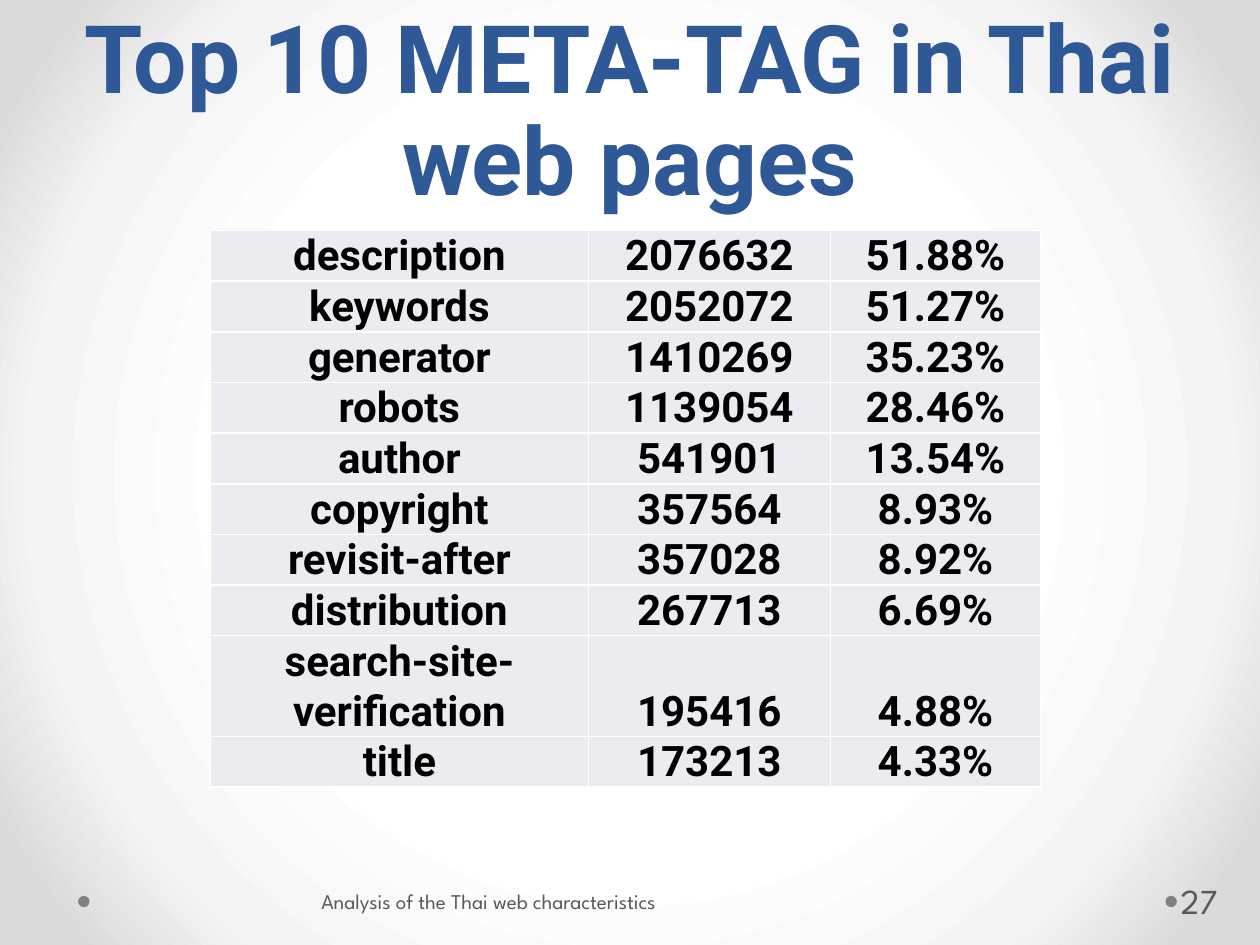
from pptx import Presentation
from pptx.dml.color import RGBColor
from pptx.enum.shapes import MSO_SHAPE
from pptx.enum.text import MSO_ANCHOR, PP_ALIGN
from pptx.oxml import parse_xml
from pptx.oxml.ns import nsdecls
from pptx.util import Inches, Pt

CENTER, LEFT = PP_ALIGN.CENTER, PP_ALIGN.LEFT
BOTTOM, MIDDLE = MSO_ANCHOR.BOTTOM, MSO_ANCHOR.MIDDLE
OVAL = MSO_SHAPE.OVAL

TITLE = "Top 10 META-TAG in Thai web pages"
TAGS = [
    ("description", "2076632", "51.88%"),
    ("keywords", "2052072", "51.27%"),
    ("generator", "1410269", "35.23%"),
    ("robots", "1139054", "28.46%"),
    ("author", "541901", "13.54%"),
    ("copyright", "357564", "8.93%"),
    ("revisit-after", "357028", "8.92%"),
    ("distribution", "267713", "6.69%"),
    ("search-site-verification", "195416", "4.88%"),
    ("title", "173213", "4.33%"),
]
# text, left, width, size, left inset, right inset
NOTES = [
    ("Analysis of the Thai web characteristics", 2.5, 5.17, 12, 0.05, 0.1),
    ("27", 9.34, 0.61, 20, 0.03, 0.05),
]
DOTS = [0.62, 9.25]
GLOW = [(50, "FFFFFF"), (76, "F4F4F4"), (92, "DADADA")]

WIDTHS = [3, 1.92, 1.67]
LINE = 0.4     # height of one line of table text
WRAP = 20      # longest tag that fits on one line
HEAD, BODY = "Roboto", "League Spartan"


def color(code):
    return RGBColor.from_string(code)


def write(frame, text, size, font, code, bold=False, align=LEFT):
    par = frame.paragraphs[0]
    par.alignment = align
    run = par.add_run()
    run.text = text
    run.font.size = Pt(size)
    run.font.name = font
    run.font.bold = bold
    run.font.color.rgb = color(code)
    return par


def glow(slide):
    """Fill the background with a gradient from the centre outwards."""
    stops = "".join(
        f'<a:gs pos="{pos * 1000}"><a:srgbClr val="{code}"/></a:gs>'
        for pos, code in GLOW)
    fill = parse_xml(
        f'<a:gradFill {nsdecls("a")} rotWithShape="1"><a:gsLst>{stops}</a:gsLst>'
        '<a:path path="circle"><a:fillToRect l="50000" t="50000" r="50000" '
        'b="50000"/></a:path></a:gradFill>')
    slide.background.fill.solid()
    plain = slide.element.xpath("p:cSld/p:bg/p:bgPr/a:solidFill")[0]
    plain.getparent().replace(plain, fill)


def edge(cell):
    """Draw thin white borders; they must come before the cell's fill."""
    props = cell._tc.get_or_add_tcPr()
    for spot, side in enumerate(("lnL", "lnR", "lnT", "lnB")):
        props.insert(spot, parse_xml(
            f'<a:{side} {nsdecls("a")} w="{Pt(1)}"><a:solidFill>'
            f'<a:srgbClr val="FFFFFF"/></a:solidFill></a:{side}>'))


def add_title(slide):
    title = slide.shapes.title
    title.left, title.top = Inches(0.5), 0
    title.width, title.height = Inches(9), Inches(1.75)
    frame = title.text_frame
    frame.word_wrap = True
    frame.vertical_anchor = BOTTOM
    par = write(frame, TITLE, 54, HEAD, "2F5897", True, CENTER)
    par.line_spacing = Pt(58)


def add_tags(slide):
    highs = [LINE * (2 if len(row[0]) > WRAP else 1) for row in TAGS]
    table = slide.shapes.add_table(
        len(TAGS), len(WIDTHS), Inches(1.67), Inches(1.83),
        Inches(sum(WIDTHS)), Inches(sum(highs))).table
    table.first_row = table.horz_banding = False
    for col, wide in zip(table.columns, WIDTHS):
        col.width = Inches(wide)
    for row, high, texts in zip(table.rows, highs, TAGS):
        row.height = Inches(high)
        for cell, text in zip(row.cells, texts):
            cell.margin_left = cell.margin_right = Inches(0.01)
            cell.margin_top, cell.margin_bottom = Inches(0.01), 0
            cell.vertical_anchor = BOTTOM
            cell.fill.solid()
            cell.fill.fore_color.rgb = color("EAECF2")
            edge(cell)
            write(cell.text_frame, text, 24, HEAD, "000000", True, CENTER)


def add_foot(slide):
    for left in DOTS:
        dot = slide.shapes.add_shape(
            OVAL, Inches(left), Inches(7.11), Inches(0.09), Inches(0.09))
        dot.shadow.inherit = False
        dot.fill.solid()
        dot.fill.fore_color.rgb = color("808080")
        dot.line.fill.background()
    for text, left, wide, size, start, end in NOTES:
        frame = slide.shapes.add_textbox(
            Inches(left), Inches(6.95), Inches(wide), Inches(0.4)).text_frame
        frame.word_wrap = True
        frame.vertical_anchor = MIDDLE
        frame.margin_left, frame.margin_right = Inches(start), Inches(end)
        write(frame, text, size, BODY, "595959")


def main():
    deck = Presentation()
    deck.slide_width, deck.slide_height = Inches(10), Inches(7.5)
    slide = deck.slides.add_slide(deck.slide_layouts[5])
    glow(slide)
    add_title(slide)
    add_tags(slide)
    add_foot(slide)
    deck.save("out.pptx")


if __name__ == "__main__":
    main()
